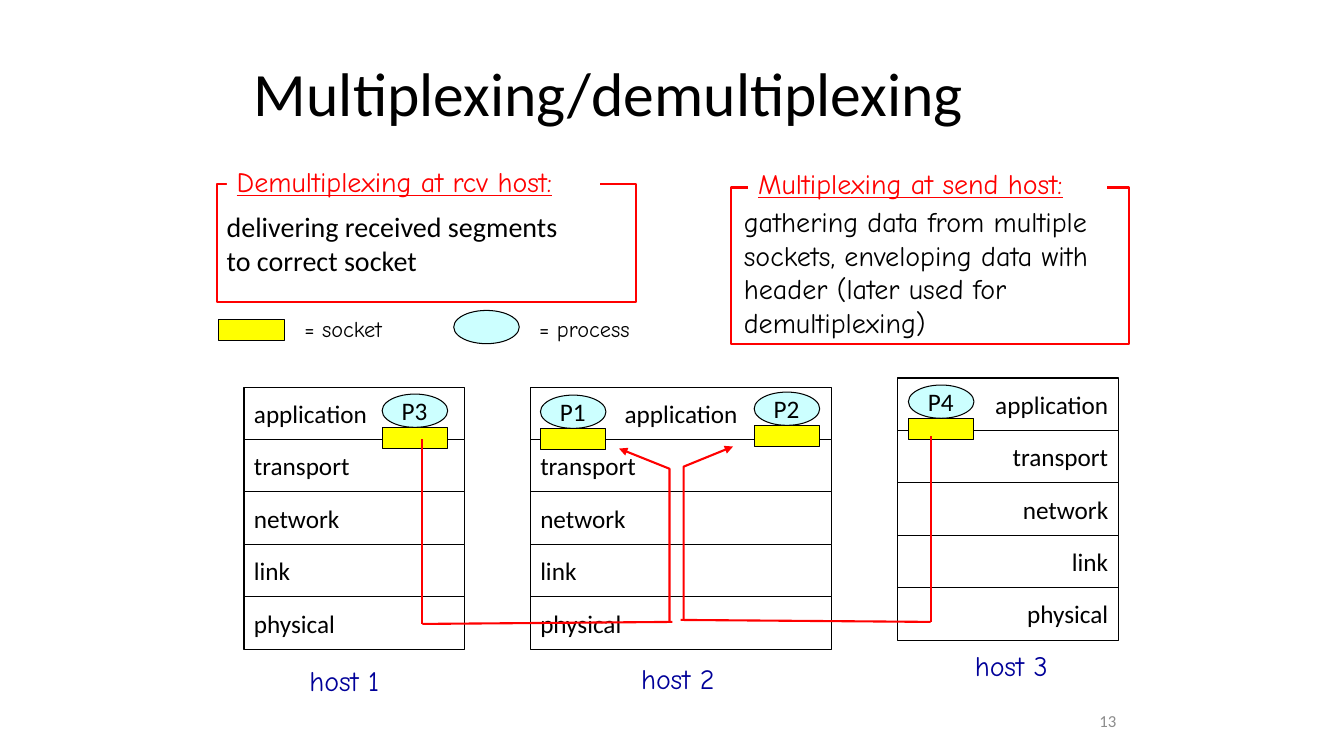
from pptx import Presentation
from pptx.dml.color import RGBColor
from pptx.enum.shapes import MSO_CONNECTOR as CONN, MSO_SHAPE as SHAPE
from pptx.enum.text import MSO_ANCHOR as ANCHOR, PP_ALIGN as ALIGN
from pptx.oxml.ns import qn
from pptx.util import Inches, Pt
from lxml.etree import SubElement

BLACK = RGBColor(0x00, 0x00, 0x00)
WHITE = RGBColor(0xFF, 0xFF, 0xFF)
RED = RGBColor(0xFF, 0x00, 0x00)
NAVY = RGBColor(0x00, 0x00, 0x99)
GRAY = RGBColor(0x8C, 0x8C, 0x8C)
YELLOW = RGBColor(0xFF, 0xFF, 0x00)
AQUA = RGBColor(0xCC, 0xFF, 0xFF)

BODY, HAND = "Calibri", "Comic Neue"
LAYERS = ["application", "transport", "network", "link", "physical"]
LAYER_H = 5.2
SOCKET_W, SOCKET_H, PROCESS_H = 6.5, 2.1, 3.3


def write(tf, text, size=18, font=BODY, color=BLACK, align=ALIGN.LEFT,
          anchor=ANCHOR.MIDDLE, wrap=False, underline=None, spacing=None):
    """Fill a text frame, one paragraph per line of text."""
    tf.word_wrap = wrap
    tf.vertical_anchor = anchor
    for i, line in enumerate(text.split("\n")):
        p = tf.paragraphs[0] if i == 0 else tf.add_paragraph()
        p.alignment = align
        p.line_spacing = spacing
        r = p.add_run()
        r.text = line
        r.font.size, r.font.name = Pt(size), font
        r.font.color.rgb, r.font.underline = color, underline


class Board:
    """A slide on a grid whose columns and rows are a tenth of an inch."""

    def __init__(self, slide):
        self.shapes = slide.shapes

    def grid(self, *cells):
        return [Inches(c / 10) for c in cells]

    def text(self, x, y, w, h, text, **fmt):
        s = self.shapes.add_textbox(*self.grid(x, y, w, h))
        write(s.text_frame, text, **fmt)

    def hand(self, x, y, w, h, text, **fmt):
        self.text(x, y, w, h, text, font=HAND, anchor=ANCHOR.TOP, **fmt)

    def shape(self, x, y, w, h, fill=None, line=BLACK, width=0.75,
              kind=SHAPE.RECTANGLE, text="", **fmt):
        s = self.shapes.add_shape(kind, *self.grid(x, y, w, h))
        s.shadow.inherit = False
        if fill is None:
            s.fill.background()
        else:
            s.fill.solid()
            s.fill.fore_color.rgb = fill
        if line is None:
            s.line.fill.background()
        else:
            s.line.color.rgb, s.line.width = line, Pt(width)
        if text:
            write(s.text_frame, text, **fmt)

    def socket(self, x, y):
        self.shape(x, y, SOCKET_W, SOCKET_H, fill=YELLOW)

    def process(self, x, y, name=""):
        self.shape(x, y, SOCKET_W, PROCESS_H, fill=AQUA, kind=SHAPE.OVAL, text=name)

    def stack(self, x, y, w, align=ALIGN.LEFT, top_align=None):
        for i, layer in enumerate(LAYERS):
            self.shape(x, y + i * LAYER_H, w, LAYER_H, fill=WHITE, text=layer,
                       align=top_align if top_align and i == 0 else align)

    def frame(self, x, y, w, h, text="", **fmt):
        self.shape(x, y, w, h, line=RED, width=1.5, text=text, **fmt)

    def heading(self, x, y, w, text):
        self.shape(x, y, w, 4.3, fill=WHITE, line=None, text=text, size=20,
                   font=HAND, color=RED, underline=True, anchor=ANCHOR.TOP)

    def line(self, x1, y1, x2, y2):
        s = self.shapes.add_connector(CONN.STRAIGHT, *self.grid(x1, y1, x2, y2))
        s.line.color.rgb, s.line.width = RED, Pt(1.5)
        SubElement(s._element.spPr, qn("a:effectLst"))

    def arrow(self, start, *rest):
        fb = self.shapes.build_freeform(*self.grid(*start))
        fb.add_line_segments([self.grid(*pt) for pt in rest], close=False)
        s = fb.convert_to_shape()
        s.shadow.inherit = False
        s.fill.background()
        s.line.color.rgb, s.line.width = RED, Pt(1.5)
        SubElement(s.line._get_or_add_ln(), qn("a:tailEnd"), type="triangle")


def main():
    prs = Presentation()
    prs.slide_width, prs.slide_height = Inches(13.33), Inches(7.5)
    b = Board(prs.slides.add_slide(prs.slide_layouts[6]))

    # Title
    b.text(24.2, 3.3, 85, 12.5, "Multiplexing/demultiplexing", size=44,
           wrap=True, spacing=0.9)

    # Protocol stacks
    b.stack(24.2, 38.4, 21.9)
    b.stack(89, 37.5, 21.9, align=ALIGN.RIGHT)
    b.stack(52.6, 38.4, 29.9, top_align=ALIGN.CENTER)

    # Processes, each standing on its socket
    for name, x, y in [("P2", 74.8, 38.9), ("P3", 37.9, 39.1),
                       ("P4", 90.1, 38.2), ("P1", 53.6, 39.2)]:
        b.socket(x, y + PROCESS_H)
        b.process(x, y, name)

    # Host names
    for i, (x, y) in enumerate([(29.7, 65.3), (62.6, 65.1), (95.7, 63.8)], 1):
        b.hand(x, y, 10, 4.3, f"host {i}", size=20, color=NAVY)

    # Route from P3 to P1
    b.line(41.9, 43.6, 41.9, 61.9)
    b.arrow((66.4, 61.7), (66.4, 46.5), (61.4, 44.5))
    b.line(41.9, 61.9, 66.7, 61.7)

    # Legend
    b.socket(21.7, 31.7)
    b.process(45, 30.8)
    b.hand(52.5, 30.8, 11.7, 3.7, "= process", size=16)
    b.hand(29.2, 30.8, 10.6, 3.7, "= socket", size=16)

    # Demultiplexing definition
    b.frame(21.5, 18.3, 41.6, 11.7, size=20,
            text="delivering received segments\nto correct socket")
    b.heading(22.5, 15.8, 37, "Demultiplexing at rcv host:")

    # Multiplexing definition
    b.hand(72.8, 19.8, 40.7, 14.3, "gathering data from multiple\n"
           "sockets, enveloping data with\nheader (later used for\n"
           "demultiplexing)", size=20)
    b.frame(72.5, 18.6, 39.5, 15.5)
    b.heading(74.2, 16, 35.6, "Multiplexing at send host:")

    # Route from P4 to P2
    b.line(92.3, 43.3, 92.3, 61.7)
    b.arrow((67.8, 61.4), (67.8, 46.3), (72.7, 44.3))
    b.line(92.3, 61.7, 67.5, 61.5)

    # Slide number
    b.text(104.2, 69.5, 7.5, 4, "13", size=12, color=GRAY,
           align=ALIGN.RIGHT, wrap=True)

    prs.save("out.pptx")


if __name__ == "__main__":
    main()
